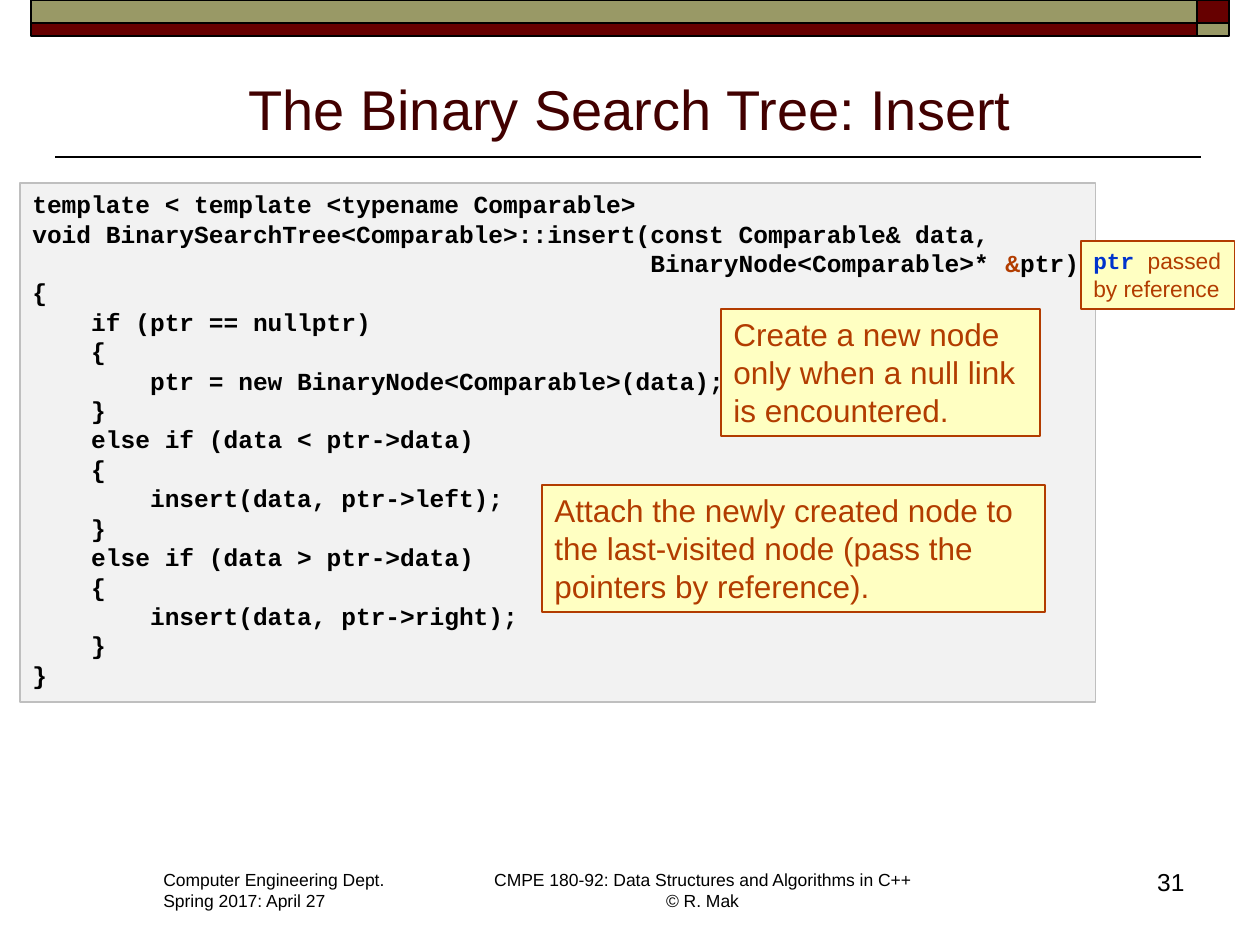
from pptx import Presentation
from pptx.dml.color import RGBColor
from pptx.enum.shapes import MSO_CONNECTOR, MSO_SHAPE
from pptx.enum.text import MSO_ANCHOR, MSO_AUTO_SIZE as FIT, PP_ALIGN as ALIGN
from pptx.oxml.ns import qn
from pptx.util import Pt
from lxml.etree import SubElement

PX = 914400 // 126  # EMU per px

# Theme: colours, and text styles as font formats
COLOR = dict(ink="000000", title="420000", maroon="660000", olive="999966",
             panel="F2F2F2", panel_edge="BFBFBF", note="FFFFC2", rust="B23C00", blue="0033CC")


def font(size, color, name="Arial", bold=False):
    return dict(size=Pt(size), name=name, bold=bold, color=COLOR[color])


STYLE = dict(
    title=font(32, "title"),
    footer=font(10, "ink"),
    number=font(14, "ink"),
    code=font(14, "ink", "Courier New", True),
    code_mark=font(14, "rust", "Courier New", True),
    note=font(18, "rust"),
    small_note=font(13, "rust"),
    small_code=font(13, "blue", "Courier New", True),
)

# Content: a paragraph is a string, or a list of (text, style) runs
CODE_HEAD = [
    "template < template <typename Comparable>",
    "void BinarySearchTree<Comparable>::insert(const Comparable& data,",
    [("                                          BinaryNode<Comparable>* ", "code"),
     ("&", "code_mark"), ("ptr)", "code")],
    "{",
]
BRANCHES = [
    ("if (ptr == nullptr)", "ptr = new BinaryNode<Comparable>(data);"),
    ("else if (data < ptr->data)", "insert(data, ptr->left);"),
    ("else if (data > ptr->data)", "insert(data, ptr->right);"),
]
TAB = "    "
CODE = CODE_HEAD + [
    line for test, action in BRANCHES
    for line in (TAB + test, TAB + "{", TAB * 2 + action, TAB + "}")
] + ["}"]

# Labels: box in px, style, alignment, vertical anchor, fits its text, paragraphs
LABELS = [
    ((151, 863, 250, 55), "footer", ALIGN.LEFT, MSO_ANCHOR.TOP, True,
     ["Computer Engineering Dept.", "Spring 2017: April 27"]),
    ((479, 863, 447, 55), "footer", ALIGN.CENTER, MSO_ANCHOR.TOP, True,
     ["CMPE 180-92: Data Structures and Algorithms in C++\n© R. Mak"]),
    ((935, 861, 262, 63), "number", ALIGN.RIGHT, MSO_ANCHOR.TOP, False, ["31"]),
    ((63, 57, 1134, 91), "title", ALIGN.CENTER, MSO_ANCHOR.BOTTOM, False,
     ["The Binary Search Tree: Insert"]),
]

# Panels: box in px, fill, edge, style, paragraphs
PANELS = [
    ((20, 183, 1076, 519), "panel", "panel_edge", "code", CODE),
    ((721, 309, 319, 127), "note", "rust", "note",
     ["Create a new node", "only when a null link \nis encountered."]),
    ((542, 485, 503, 127), "note", "rust", "note",
     ["Attach the newly created node to", "the last-visited node (pass the",
      "pointers by reference)."]),
    ((1081, 241, 154, 68), "note", "rust", "small_note",
     [[("ptr ", "small_code"), ("passed", "small_note")], "by reference"]),
]

# Top band: column and row edges in px, fills row by row
BAND_X, BAND_Y = (31, 1197, 1229), (0, 23, 36)
BAND_FILLS = [("olive", "maroon"), ("maroon", "olive")]
RULE = (1201, 157, 55, 157)


def emu(lengths):
    return [n * PX for n in lengths]


def rgb(name):
    return RGBColor.from_string(COLOR[name])


def add_run(paragraph, text, style):
    for i, piece in enumerate(text.split("\n")):
        if i:
            paragraph.add_line_break()
        run = paragraph.add_run()
        run.text = piece
        for key, value in STYLE[style].items():
            if key == "color":
                run.font.color.rgb = RGBColor.from_string(value)
            else:
                setattr(run.font, key, value)


def write(shape, paragraphs, style, align, anchor, fits):
    frame = shape.text_frame
    layout = dict(word_wrap=not fits, vertical_anchor=anchor,
                  auto_size=FIT.SHAPE_TO_FIT_TEXT if fits else FIT.NONE)
    for key, value in layout.items():
        setattr(frame, key, value)
    for i, content in enumerate(paragraphs):
        paragraph = frame.add_paragraph() if i else frame.paragraphs[0]
        paragraph.alignment = align
        runs = [(content, style)] if isinstance(content, str) else content
        for text, run_style in runs:
            add_run(paragraph, text, run_style)


def add_box(shapes, box, fill, edge, width):
    shape = shapes.add_shape(MSO_SHAPE.RECTANGLE, *emu(box))
    shape.shadow.inherit = False
    shape.fill.solid()
    shape.fill.fore_color.rgb = rgb(fill)
    shape.line.color.rgb = rgb(edge)
    shape.line.width = Pt(width)
    return shape


def main():
    deck = Presentation()
    deck.slide_width, deck.slide_height = emu((1260, 945))
    shapes = deck.slides.add_slide(deck.slide_layouts[6]).shapes

    # Rule under the title
    rule = shapes.add_connector(MSO_CONNECTOR.STRAIGHT, *emu(RULE))
    rule.line.color.rgb = rgb("ink")
    rule.line.width = Pt(1)
    SubElement(rule.element.spPr, qn("a:effectLst"))

    # Top band
    for row, fills in enumerate(BAND_FILLS):
        for col, fill in enumerate(fills):
            x, y = BAND_X[col], BAND_Y[row]
            box = (x, y, BAND_X[col + 1] - x, BAND_Y[row + 1] - y)
            add_box(shapes, box, fill, "ink", 1)

    # Footer, slide number and title
    for box, style, align, anchor, fits, paragraphs in LABELS:
        write(shapes.add_textbox(*emu(box)), paragraphs, style, align, anchor, fits)

    # Code and notes
    for box, fill, edge, style, paragraphs in PANELS:
        panel = add_box(shapes, box, fill, edge, 0.75)
        write(panel, paragraphs, style, ALIGN.LEFT, MSO_ANCHOR.TOP, True)

    deck.save("out.pptx")


if __name__ == "__main__":
    main()
